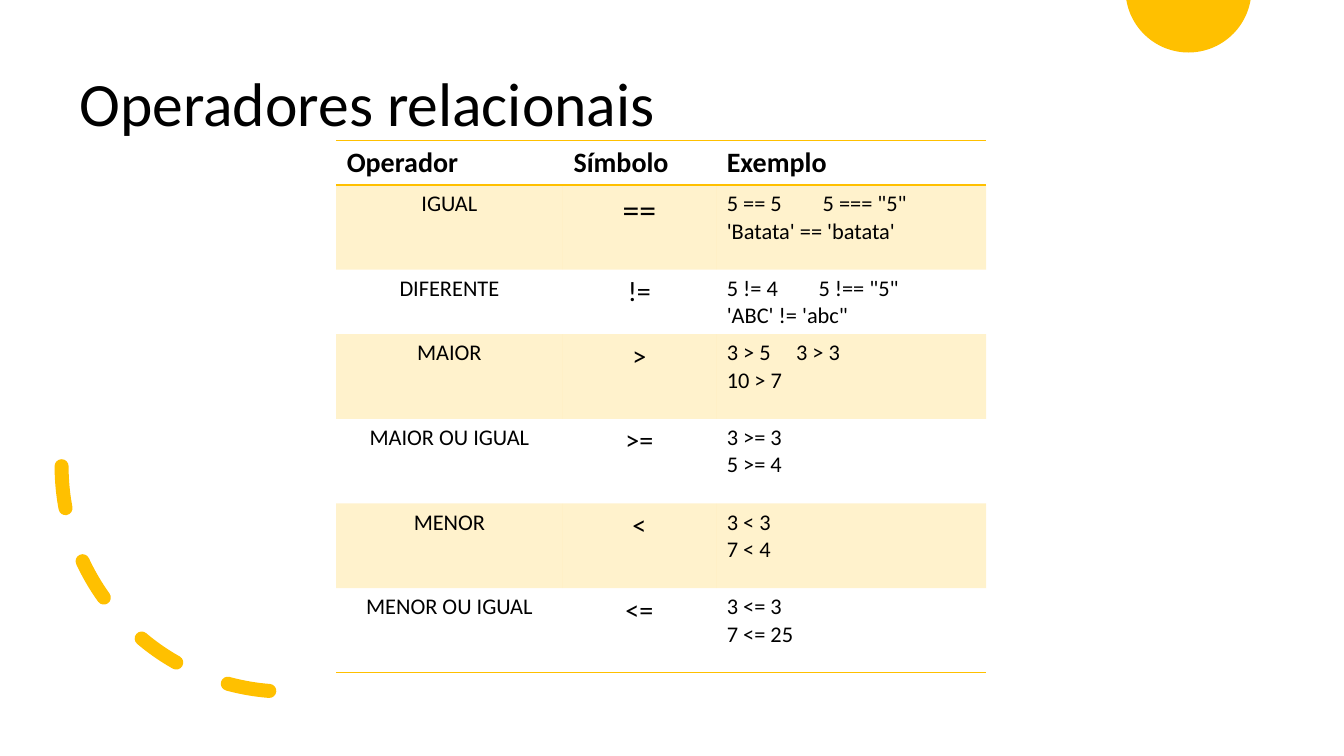
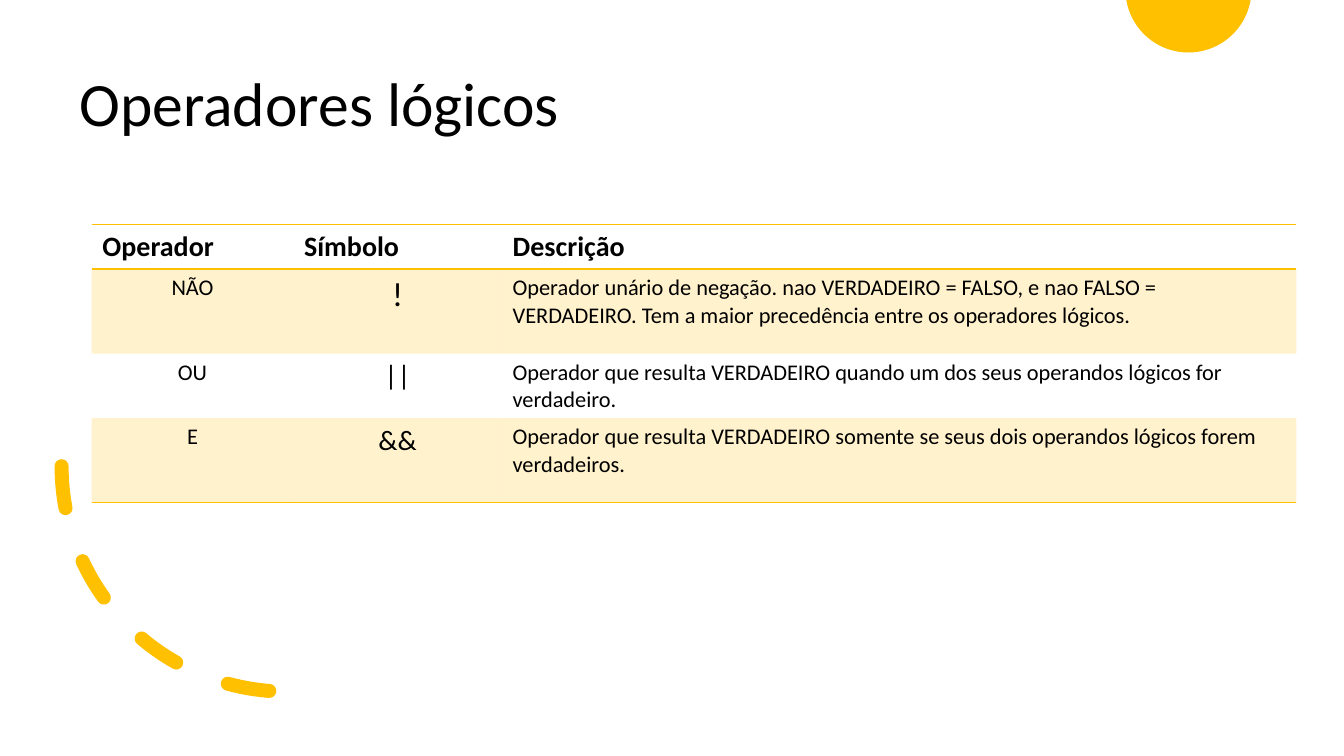
from math import asin, cos, pi, sin

from lxml.etree import SubElement
from pptx import Presentation
from pptx.dml.color import RGBColor
from pptx.enum.dml import MSO_LINE
from pptx.enum.shapes import MSO_SHAPE as SHAPE
from pptx.enum.text import MSO_ANCHOR as ANCHOR, PP_ALIGN as ALIGN
from pptx.oxml.ns import qn
from pptx.util import Pt

COLORS = {"text": "000000", "accent": "FFC000"}
FONT = "Calibri"
NO_STYLE = "{2D5ABB26-0587-4C30-8999-92F81FD0307C}"
HEADER_HEIGHT, ROW_HEIGHT, SHORT_HEIGHT = 24.5, 60.5, 42.5

RELATIONAL = [
    ("IGUAL", "==", "5 == 5\t5 === \"5\"\n'Batata' == 'batata'", 68.5),
    ("DIFERENTE", "!=", "5 != 4\t5 !== \"5\"\n'ABC' != 'abc\"", 65.5),
    ("MAIOR", ">", "3 > 5\t3 > 3\n10 > 7", 49.5),
    ("MAIOR OU IGUAL", ">=", "3 >= 3\n5 >= 4", None),
    ("MENOR", "<", "3 < 3\n7 < 4", None),
    ("MENOR OU IGUAL", "<=", "3 <= 3\n7 <= 25", None),
]
LOGICAL = [
    ("NÃO", "!", "Operador unário de negação. nao VERDADEIRO = FALSO, e nao FALSO = "
     "VERDADEIRO. Tem a maior precedência entre os operadores lógicos.", None),
    ("OU", "||", "Operador que resulta VERDADEIRO quando um dos seus operandos "
     "lógicos for verdadeiro.", None),
    ("E", "&&", "Operador que resulta VERDADEIRO somente se seus dois operandos "
     "lógicos forem verdadeiros.", None),
]


def color(name):
    return RGBColor.from_string(COLORS[name])


def write(frame, text, size=16, bold=False, align=ALIGN.LEFT, spacing=None, tab=None):
    for index, line in enumerate(text.split("\n")):
        paragraph = frame.add_paragraph() if index else frame.paragraphs[0]
        paragraph.alignment = align
        if spacing:
            paragraph.line_spacing = spacing
        if tab and "\t" in line:
            stops = SubElement(paragraph._p.get_or_add_pPr(), qn("a:tabLst"))
            SubElement(stops, qn("a:tab"), pos=str(Pt(tab)), algn="l")
        run = paragraph.add_run()
        run.text = line
        run.font.name, run.font.size, run.font.bold = FONT, Pt(size), bold
        run.font.color.rgb = color("text")


def add_dome(slide, center_x=848.9, center_y=-7.5, radius=45):
    start = asin(-center_y / radius)
    steps = 60
    angles = [start + (pi - 2 * start) * step / steps for step in range(steps + 1)]
    points = [(Pt(center_x + radius * cos(angle)), Pt(center_y + radius * sin(angle)))
              for angle in angles]
    builder = slide.shapes.build_freeform(*points[0])
    builder.add_line_segments(points[1:], close=True)
    dome = builder.convert_to_shape()
    dome.shadow.inherit = False
    dome.fill.solid()
    dome.fill.fore_color.rgb = color("accent")
    dome.line.fill.background()


def add_dashed_arc(slide, left=44, top=172, size=322):
    arc = slide.shapes.add_shape(SHAPE.ARC, Pt(left), Pt(top), Pt(size), Pt(size))
    arc.shadow.inherit = False
    arc.fill.background()
    arc.rotation = 90
    arc._element.spPr.find(qn("a:xfrm")).set("flipV", "1")
    arc.line.color.rgb = color("accent")
    arc.line.width = Pt(10)
    arc.line.dash_style = MSO_LINE.DASH
    arc._element.spPr.find(qn("a:ln")).set("cap", "rnd")


def add_title(slide, text):
    frame = slide.shapes.add_textbox(Pt(49.7), Pt(29), Pt(608), Pt(94)).text_frame
    frame.word_wrap = True
    frame.vertical_anchor = ANCHOR.MIDDLE
    write(frame, text, size=44, spacing=0.9)


def add_border(cell, side):
    line = SubElement(cell._tc.get_or_add_tcPr(), qn(f"a:ln{side}"), w=str(Pt(1)))
    fill = SubElement(line, qn("a:solidFill"))
    SubElement(fill, qn("a:srgbClr"), val=COLORS["accent"])


def format_cell(cell, borders, banded):
    cell.margin_left = cell.margin_right = Pt(7.7)
    cell.margin_top = cell.margin_bottom = Pt(3.8)
    for side in borders:
        add_border(cell, side)
    if banded:
        cell.fill.solid()
        cell.fill.fore_color.rgb = color("accent")
        tint = cell._tc.tcPr.find(qn("a:solidFill"))[0]
        SubElement(tint, qn("a:alpha"), val="20000")
    else:
        cell.fill.background()


def add_operators(slide, left, top, widths, header, operators):
    heights = [HEADER_HEIGHT] + [SHORT_HEIGHT if row == 1 else ROW_HEIGHT
                                 for row in range(len(operators))]
    table = slide.shapes.add_table(len(heights), len(widths), Pt(left), Pt(top),
                                   Pt(sum(widths)), Pt(sum(heights))).table
    table.horz_banding = False
    table._tbl.tblPr.find(qn("a:tableStyleId")).text = NO_STYLE
    for column, width in zip(table.columns, widths):
        column.width = Pt(width)
    for index, height in enumerate(heights):
        table.rows[index].height = Pt(height)
        borders = "TB" if index == 0 else "B" if index == len(operators) else ""
        for cell in table.rows[index].cells:
            format_cell(cell, borders, banded=index % 2 == 1)
    for index, label in enumerate(header):
        write(table.cell(0, index).text_frame, label, size=20, bold=True)
    for index, (name, symbol, detail, tab) in enumerate(operators, 1):
        name_cell, symbol_cell, detail_cell = table.rows[index].cells
        write(name_cell.text_frame, name, align=ALIGN.CENTER)
        write(symbol_cell.text_frame, symbol, size=24 if index == 1 else 20,
              align=ALIGN.CENTER)
        write(detail_cell.text_frame, detail, tab=tab)


def add_operator_slide(deck, title, **table):
    slide = deck.slides.add_slide(deck.slide_layouts[6])
    add_dome(slide)
    add_dashed_arc(slide)
    add_title(slide, title)
    add_operators(slide, **table)


def main():
    deck = Presentation()
    deck.slide_width, deck.slide_height = Pt(960), Pt(540)
    add_operator_slide(deck, "Operadores relacionais", left=240, top=100.5,
                       widths=(162, 109.5, 193),
                       header=("Operador", "Símbolo", "Exemplo"), operators=RELATIONAL)
    add_operator_slide(deck, "Operadores lógicos", left=65.5, top=160.5,
                       widths=(144, 149, 567.5),
                       header=("Operador", "Símbolo", "Descrição"), operators=LOGICAL)
    deck.save("out.pptx")


if __name__ == "__main__":
    main()
